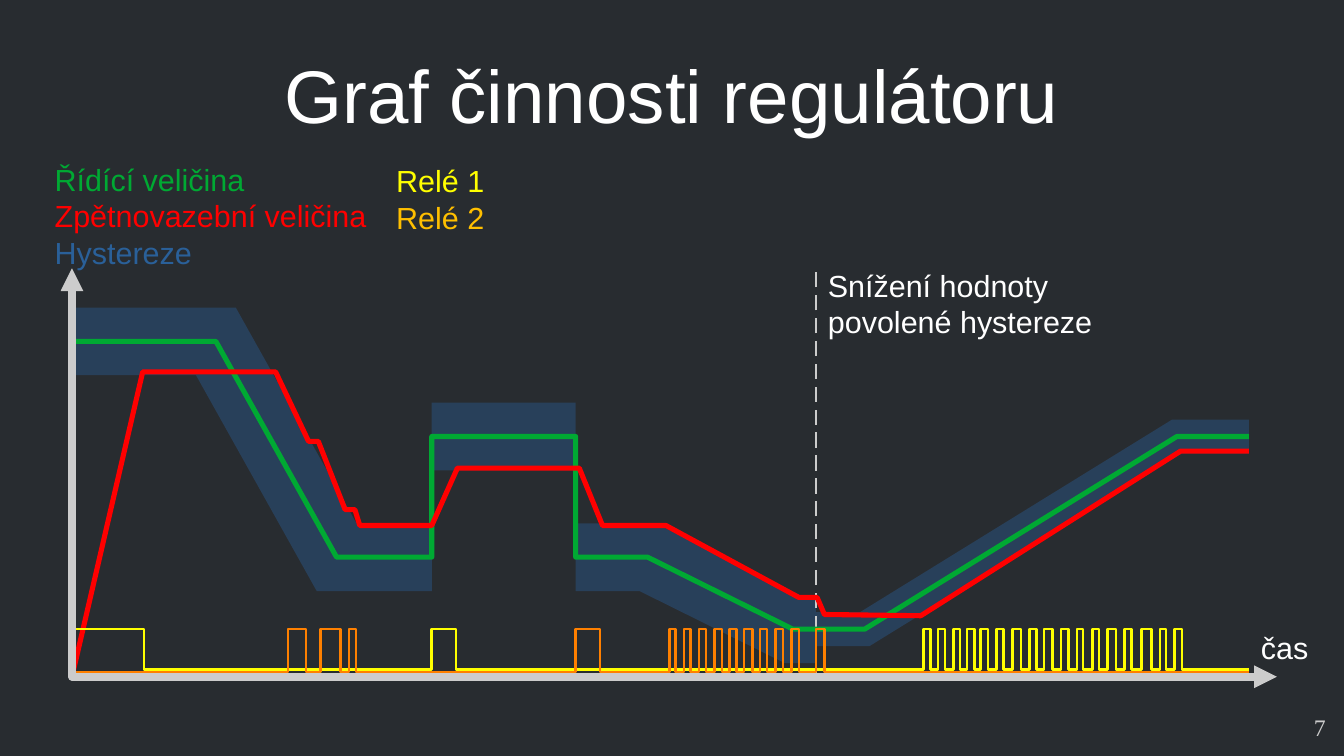
from lxml import etree
from pptx import Presentation
from pptx.dml.color import RGBColor
from pptx.enum import shapes, text
from pptx.oxml import ns
from pptx.util import Inches, Pt

COLORS = {
    "background": "282C30", "text": "FFFFFF", "axis": "CCCCCC",
    "setpoint": "00A933", "feedback": "FF0000", "hysteresis": "2A6099",
    "relay 1": "FFFF00", "relay 2": "FF8000", "relay 2 label": "FFBF00",
}

# Chart points are (time, value) in inches from the crossing of the axes.
REDUCTION_TIME = 6.1
SETPOINT = [(0, 2.75), (1.18, 2.75), (2.17, 0.98), (2.95, 0.98),
            (2.95, 1.97), (4.13, 1.97), (4.13, 0.98), (4.72, 0.98),
            (5.91, 0.39), (6.5, 0.39), (9.06, 1.97), (9.65, 1.97)]
FEEDBACK = [(0, 0), (0.58, 2.5), (1.67, 2.5), (1.94, 1.93), (2.02, 1.93),
            (2.24, 1.37), (2.32, 1.37), (2.36, 1.24), (2.95, 1.24),
            (3.16, 1.71), (4.16, 1.71), (4.35, 1.24), (4.87, 1.24),
            (5.96, 0.65), (6.11, 0.65), (6.17, 0.51), (6.96, 0.5),
            (9.09, 1.85), (9.65, 1.85)]
RELAY_1 = [(0, 0.59), (2.95, 3.15), (6.98, 7.04), (7.1, 7.16), (7.23, 7.28),
           (7.34, 7.4), (7.45, 7.51), (7.58, 7.64), (7.71, 7.78),
           (7.85, 7.91), (7.97, 8.04), (8.11, 8.17), (8.24, 8.29),
           (8.37, 8.42), (8.49, 8.56), (8.63, 8.69), (8.77, 8.85),
           (8.92, 8.97), (9.04, 9.1)]
RELAY_2 = [(1.77, 1.92), (2.04, 2.2), (2.27, 2.33), (4.13, 4.33), (4.9, 4.95),
           (5.02, 5.07), (5.14, 5.2), (5.27, 5.33), (5.39, 5.45),
           (5.51, 5.58), (5.64, 5.7), (5.77, 5.83), (5.9, 5.96), (6.1, 6.17)]


def color(name):
    return RGBColor.from_string(COLORS[name])


def add_element(parent, tag, **attributes):
    return etree.SubElement(parent, ns.qn(tag), attributes)


def add_polyline(slide, points, color_name, width, alpha=None, dashed=False,
                 join="round", arrows=False):
    """Draw an open line through slide positions given in inches."""
    corners = [(Inches(x), Inches(y)) for x, y in points]
    if len(corners) == 2:
        shape = slide.shapes.add_connector(
            shapes.MSO_CONNECTOR.STRAIGHT, *corners[0], *corners[1])
        add_element(shape._element.spPr, "a:effectLst")
    else:
        builder = slide.shapes.build_freeform(*corners[0])
        builder.add_line_segments(corners[1:], close=False)
        shape = builder.convert_to_shape()
        shape.shadow.inherit = False
        shape.fill.background()
    shape.line.color.rgb = color(color_name)
    shape.line.width = Pt(width)
    line = shape.line._get_or_add_ln()
    if alpha:
        add_element(line.find(".//" + ns.qn("a:srgbClr")), "a:alpha",
                    val=str(alpha * 1000))
    if dashed:
        add_element(add_element(line, "a:custDash"), "a:ds",
                    d="600000", sp="300000")
    if join == "miter":
        add_element(line, "a:miter", lim="800000")
    else:
        add_element(line, "a:round")
    if arrows:
        add_element(line, "a:headEnd", type="triangle")
        add_element(line, "a:tailEnd", type="triangle")


def format_font(font, size, color_name, name="Arial"):
    font.name = name
    font.size = Pt(size)
    font.color.rgb = color(color_name)


def place(shape, box):
    shape.left, shape.top, shape.width, shape.height = map(Inches, box)


def add_label(slide, box, lines):
    """Add one paragraph for each (wording, colour name) pair."""
    frame = slide.shapes.add_textbox(*map(Inches, box)).text_frame
    frame.word_wrap = True
    for index, (wording, color_name) in enumerate(lines):
        paragraph = frame.add_paragraph() if index else frame.paragraphs[0]
        run = paragraph.add_run()
        run.text = wording
        format_font(run.font, 18, color_name)


def clear_margins(frame):
    frame.margin_left = frame.margin_right = 0
    frame.margin_top = frame.margin_bottom = 0


def set_title(slide, box):
    title = slide.shapes.title
    place(title, box)
    frame = title.text_frame
    clear_margins(frame)
    frame.vertical_anchor = text.MSO_ANCHOR.MIDDLE
    paragraph = frame.paragraphs[0]
    paragraph.alignment = text.PP_ALIGN.CENTER
    run = paragraph.add_run()
    run.text = "Graf činnosti regulátoru"
    format_font(run.font, 44, "text")


def add_legend(slide, box):
    left, top, width, height = box
    add_label(slide, (left, top, 2.95, height),
              [("Řídící veličina", "setpoint"),
               ("Zpětnovazební veličina", "feedback"),
               ("Hystereze", "hysteresis")])
    add_label(slide, (left + 2.8, top + 0.01, width - 2.8, 0.66),
              [("Relé 1", "relay 1"), ("Relé 2", "relay 2 label")])


def relay_signal(pulses, low, high=0.39, end=9.65):
    points = [(0, low)]
    for on, off in pulses:
        points += [(on, low), (on, high), (off, high), (off, low)]
    return points + [(end, low)]


def add_chart_region(slide, box):
    left, top, width, height = box

    def draw(points, *style, **options):
        positions = [(left + time, top + height - value)
                     for time, value in points]
        add_polyline(slide, positions, *style, **options)

    reduction = (REDUCTION_TIME, 0.39)
    bands = [(SETPOINT[:4], 40), (SETPOINT[6:9] + [reduction], 40),
             ([reduction] + SETPOINT[9:], 20), (SETPOINT[4:6], 40)]
    for points, band_width in bands:
        draw(points, "hysteresis", band_width, alpha=40, join="miter")
    draw([(REDUCTION_TIME, 0), (REDUCTION_TIME, height)], "axis", 1.5,
         dashed=True)
    draw(SETPOINT, "setpoint", 3)
    draw(FEEDBACK, "feedback", 3)
    draw(relay_signal(RELAY_1, 0.06), "relay 1", 1.5)
    draw(relay_signal(RELAY_2, 0.04), "relay 2", 1.5)
    draw([(0, height), (0, 0), (width, 0)], "axis", 4.5, arrows=True)
    add_label(slide, (left + REDUCTION_TIME, top - 0.06, 2.56, 0.66),
              [("Snížení hodnoty povolené hystereze", "text")])
    add_label(slide, (left + 9.65, top + height - 0.44, 0.71, 0.38),
              [("čas", "text")])


def add_slide_number(slide, box):
    frame = slide.shapes.add_textbox(*map(Inches, box)).text_frame
    frame.word_wrap = True
    clear_margins(frame)
    paragraph = frame.paragraphs[0]
    paragraph.alignment = text.PP_ALIGN.RIGHT
    run = paragraph.add_run()
    run.text = "7"
    format_font(run.font, 14, "axis", "Times New Roman")


def main():
    presentation = Presentation()
    presentation.slide_width = Inches(11.02)
    presentation.slide_height = Inches(6.2)
    slide = presentation.slides.add_slide(presentation.slide_layouts[5])
    slide.background.fill.solid()
    slide.background.fill.fore_color.rgb = color("background")
    set_title(slide, (0.55, 0.25, 9.92, 1.04))
    add_legend(slide, (0.35, 1.27, 3.78, 0.94))
    add_chart_region(slide, (0.59, 2.2, 9.88, 3.35))
    add_slide_number(slide, (8.3, 5.85, 2.57, 0.3))
    presentation.save("out.pptx")


if __name__ == "__main__":
    main()
